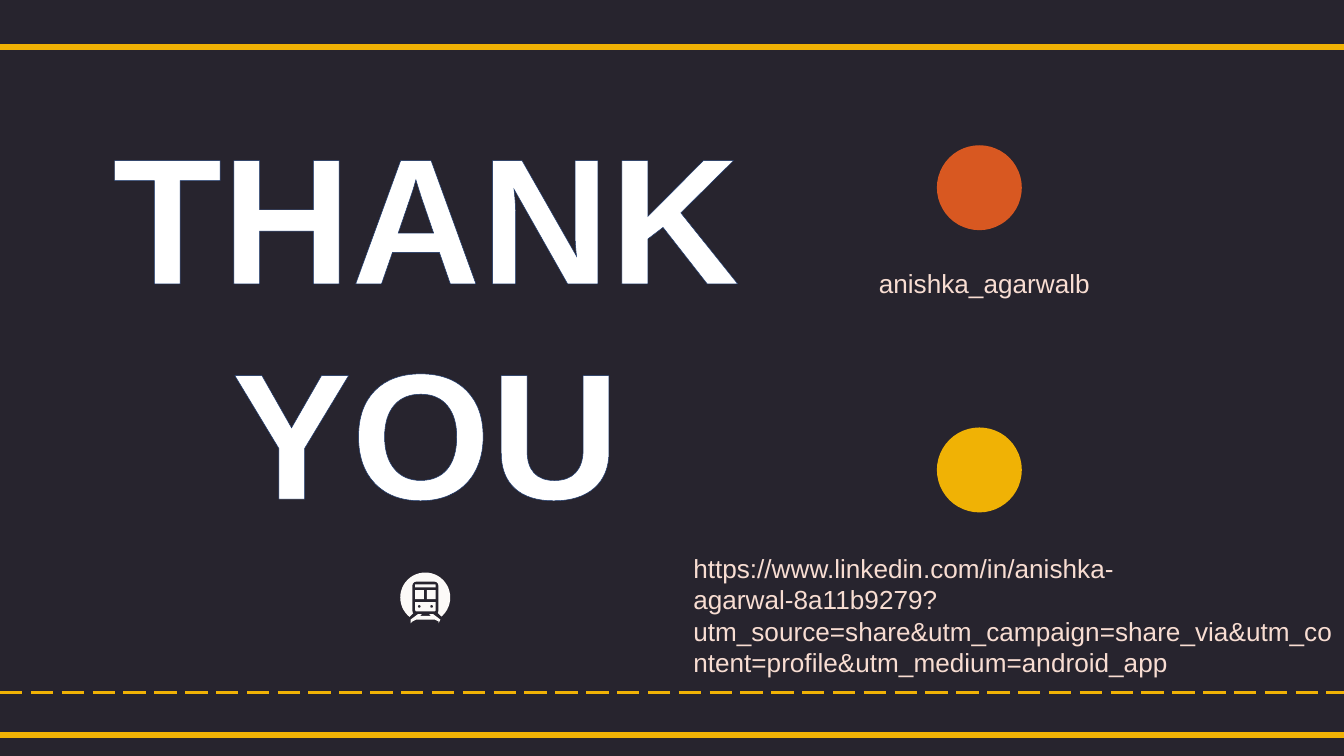
from typing import NamedTuple

from lxml.etree import SubElement
from pptx import Presentation
from pptx.dml.color import RGBColor
from pptx.enum.dml import MSO_LINE
from pptx.enum.shapes import MSO_CONNECTOR, MSO_SHAPE
from pptx.enum.text import MSO_AUTO_SIZE, PP_ALIGN
from pptx.oxml.ns import qn
from pptx.util import Pt

DARK = RGBColor(0x27, 0x24, 0x2E)
YELLOW = RGBColor(0xF0, 0xB2, 0x05)
ORANGE = RGBColor(0xD8, 0x58, 0x21)
WHITE = RGBColor(0xFF, 0xFF, 0xFF)
CREAM = RGBColor(0xFC, 0xFA, 0xF8)
PINK = RGBColor(0xF8, 0xDD, 0xD2)
NAVY = RGBColor(0x15, 0x33, 0x69)
FONT = "Arial"
WIDTH, HEIGHT = 720, 405


class Box(NamedTuple):
    """Left, top, width and height in points."""
    x: float
    y: float
    w: float
    h: float


class Rule(NamedTuple):
    y: float
    weight: float
    dash: MSO_LINE | None = None


class Part(NamedTuple):
    kind: MSO_SHAPE
    box: Box
    color: RGBColor
    rotation: float = 0


RULES = [Rule(25.2, 3), Rule(393.8, 3), Rule(370.8, 1.5, MSO_LINE.LONG_DASH)]

BADGES = [
    Part(MSO_SHAPE.OVAL, Box(501.9, 77.8, 45.5, 45.5), ORANGE),
    Part(MSO_SHAPE.OVAL, Box(501.9, 229, 45.5, 45.5), YELLOW),
]

TRAIN = [
    Part(MSO_SHAPE.OVAL, Box(214.4, 306.7, 26.8, 26.8), CREAM),
    Part(MSO_SHAPE.ROUNDED_RECTANGLE, Box(220.9, 311.6, 14, 17.8), DARK),
    Part(MSO_SHAPE.ROUND_2_SAME_RECTANGLE, Box(222.4, 313.1, 11, 1.6), CREAM),
    *(Part(MSO_SHAPE.RECTANGLE, Box(x, 316.2, 4.7, 4.8), CREAM) for x in (222.4, 228.7)),
    Part(MSO_SHAPE.ROUND_2_SAME_RECTANGLE, Box(222.4, 322.6, 11, 5), CREAM, 180),
    *(Part(MSO_SHAPE.OVAL, Box(x, 324.2, 1.4, 1.4), DARK) for x in (223.9, 230.5)),
]
TRACK_GAP = [(221.8, 328.3), (234, 328.3), (236.6, 330.8), (236.6, 334),
             (219.2, 334), (219.2, 330.8)]
TRACK = [(223.9, 329.2), (220, 332.4), (220.4, 333.6), (221.2, 333.4), (222.6, 332),
         (233.2, 332), (234.6, 333.4), (235.4, 333.6), (235.8, 332.4), (231.9, 329.2),
         (229.7, 329.2), (231, 330.5), (224.8, 330.5), (226.1, 329.2)]


def paint(sp, color: RGBColor) -> None:
    sp.shadow.inherit = False
    sp.fill.solid()
    sp.fill.fore_color.rgb = color
    sp.line.fill.background()


def add_part(s, part: Part) -> None:
    sp = s.shapes.add_shape(part.kind, *map(Pt, part.box))
    sp.rotation = part.rotation
    paint(sp, part.color)


def add_polygon(s, points: list[tuple[float, float]], color: RGBColor) -> None:
    start, *rest = points
    builder = s.shapes.build_freeform(*start, scale=float(Pt(1)))
    builder.add_line_segments(rest)
    paint(builder.convert_to_shape(), color)


def add_rule(s, rule: Rule) -> None:
    line = s.shapes.add_connector(MSO_CONNECTOR.STRAIGHT, Pt(0), Pt(rule.y), Pt(WIDTH), Pt(rule.y))
    line.line.color.rgb = YELLOW
    line.line.width = Pt(rule.weight)
    if rule.dash:
        line.line.dash_style = rule.dash
    SubElement(line._element.spPr, qn("a:effectLst"))


def add_text(s, text: str, box: Box, *, size: float, color: RGBColor, bold: bool = False,
             align: PP_ALIGN = PP_ALIGN.LEFT, wrap: bool = True,
             outline: RGBColor | None = None) -> None:
    tf = s.shapes.add_textbox(*map(Pt, box)).text_frame
    tf.word_wrap = wrap
    tf.auto_size = MSO_AUTO_SIZE.SHAPE_TO_FIT_TEXT
    p = tf.paragraphs[0]
    p.alignment = align
    r = p.add_run()
    r.text = text
    r.font.name, r.font.size, r.font.bold = FONT, Pt(size), bold
    r.font.color.rgb = color
    if outline:
        ln = r.font._element.makeelement(qn("a:ln"), {"w": str(Pt(0.52))})
        fill = SubElement(ln, qn("a:solidFill"))
        SubElement(fill, qn("a:srgbClr"), val=str(outline))
        r.font._element.insert(0, ln)


def main() -> None:
    prs = Presentation()
    prs.slide_width, prs.slide_height = Pt(WIDTH), Pt(HEIGHT)
    s = prs.slides.add_slide(prs.slide_layouts[6])
    s.background.fill.solid()
    s.background.fill.fore_color.rgb = DARK

    for rule in RULES:
        add_rule(s, rule)
    add_text(s, "THANK YOU", Box(28.1, 52.6, 400.3, 239.8), size=96, color=WHITE,
             bold=True, align=PP_ALIGN.CENTER, outline=NAVY)
    for badge in BADGES:
        add_part(s, badge)
    add_text(s, "anishka_agarwalb", Box(463.7, 139.7, 128.2, 24.5), size=14, color=PINK, wrap=False)
    add_text(s, "https://www.linkedin.com/in/anishka-agarwal-8a11b9279?utm_source=share"
             "&utm_campaign=share_via&utm_content=profile&utm_medium=android_app",
             Box(364.3, 292.3, 361.4, 58.3), size=14, color=PINK)
    for part in TRAIN:
        add_part(s, part)
    add_polygon(s, TRACK_GAP, DARK)
    add_polygon(s, TRACK, CREAM)

    prs.save("out.pptx")


if __name__ == "__main__":
    main()
